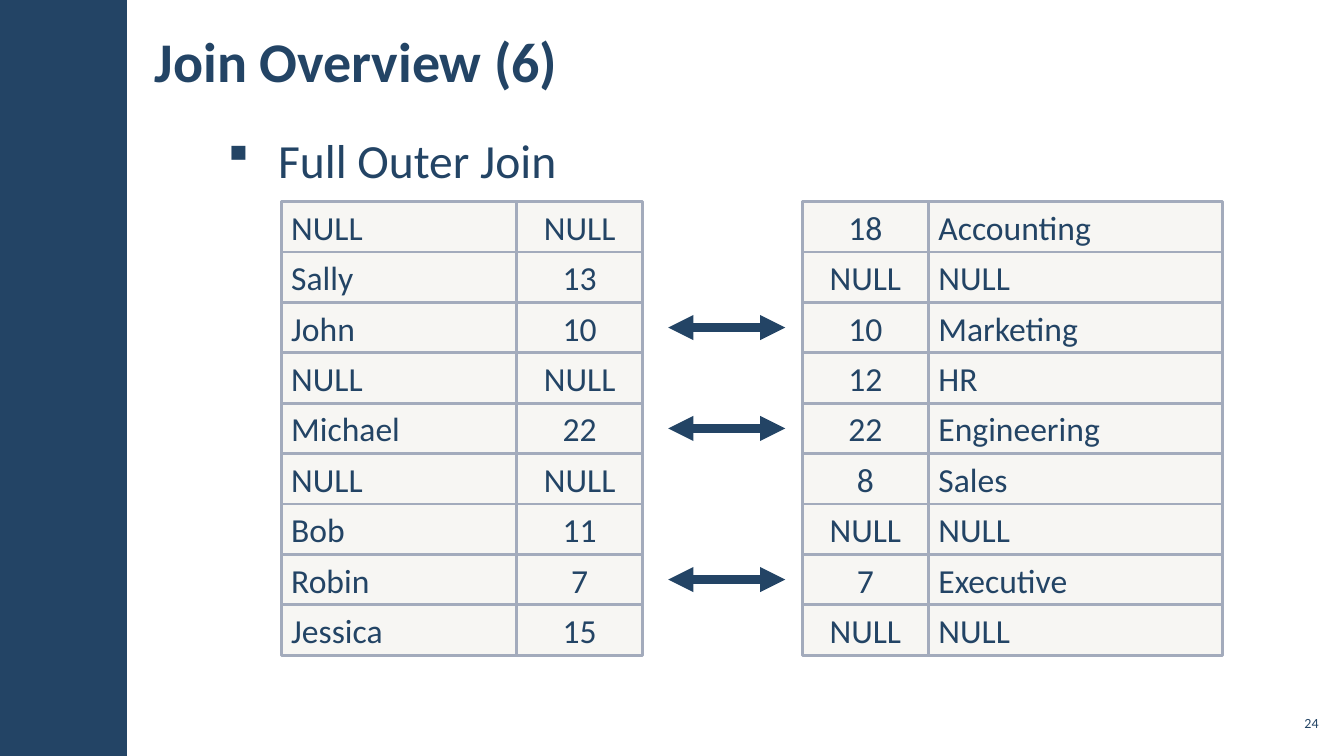
from lxml.etree import SubElement
from pptx import Presentation
from pptx.dml.color import RGBColor
from pptx.enum.shapes import MSO_CONNECTOR, MSO_SHAPE
from pptx.enum.text import MSO_ANCHOR as ANCHOR, PP_ALIGN as ALIGN
from pptx.oxml.ns import qn
from pptx.util import Cm, Pt

NAVY = RGBColor(0x23, 0x44, 0x65)
SAND = RGBColor(0xD9, 0xD5, 0xC7)
GREY = RGBColor(0xA3, 0xAB, 0xBC)
FONT = "Calibri"
ROW_H = 1.27

EMPLOYEES = [
    ("NULL", "NULL"), ("Sally", "13"), ("John", "10"),
    ("NULL", "NULL"), ("Michael", "22"), ("NULL", "NULL"),
    ("Bob", "11"), ("Robin", "7"), ("Jessica", "15"),
]
DEPARTMENTS = [
    ("18", "Accounting"), ("NULL", "NULL"), ("10", "Marketing"),
    ("12", "HR"), ("22", "Engineering"), ("8", "Sales"),
    ("NULL", "NULL"), ("7", "Executive"), ("NULL", "NULL"),
]


def add_run(p, text, size, bold=False):
    """Append a run in the slide's font and colour."""
    r = p.add_run()
    r.text = text
    r.font.name, r.font.size, r.font.bold = FONT, Pt(size), bold
    r.font.color.rgb = NAVY


def format_frame(tf, anchor, side, edge=0.1):
    """Set wrapping, anchor and insets of a text frame."""
    tf.word_wrap = True
    tf.vertical_anchor = anchor
    tf.margin_left = tf.margin_right = Cm(side)
    tf.margin_top = tf.margin_bottom = Cm(edge)


def add_rect(s, x, y, w, h, color):
    """Draw a filled rectangle without a shadow."""
    sp = s.shapes.add_shape(MSO_SHAPE.RECTANGLE, Cm(x), Cm(y), Cm(w), Cm(h))
    sp.shadow.inherit = False
    sp.fill.solid()
    sp.fill.fore_color.rgb = color
    return sp


def add_sidebar(s, x, y, w, h):
    """Draw the dark band at the slide's edge."""
    add_rect(s, x, y, w, h, NAVY).line.fill.background()


def add_title(s, x, y, w, h, text):
    """Place and format the title placeholder."""
    sp = s.shapes.title
    sp.left, sp.top, sp.width, sp.height = Cm(x), Cm(y), Cm(w), Cm(h)
    format_frame(sp.text_frame, ANCHOR.MIDDLE, 0.3)
    p = sp.text_frame.paragraphs[0]
    p.alignment = ALIGN.LEFT
    add_run(p, text, 40, True)


def add_bullet(s, x, y, w, h, text):
    """Write a square-bulleted line in the given box."""
    tf = s.shapes.add_textbox(Cm(x), Cm(y), Cm(w), Cm(h)).text_frame
    format_frame(tf, ANCHOR.TOP, 0.3)
    p = tf.paragraphs[0]
    p.line_spacing = 1.05
    p.space_before = p.space_after = Pt(6)
    add_run(p, text, 34)
    pPr = p._p.get_or_add_pPr()
    pPr.set("marL", str(Cm(1.27)))
    pPr.set("indent", str(Cm(-1.27)))
    SubElement(pPr, qn("a:buFont")).set("typeface", "Wingdings")
    SubElement(pPr, qn("a:buChar")).set("char", "§")


def add_page_number(s, x, y, w, h, text):
    """Write the page number, right-aligned."""
    tf = s.shapes.add_textbox(Cm(x), Cm(y), Cm(w), Cm(h)).text_frame
    format_frame(tf, ANCHOR.MIDDLE, 0.1)
    p = tf.paragraphs[0]
    p.alignment = ALIGN.RIGHT
    add_run(p, text, 10)


def add_cell(s, x, y, w, text, align):
    """Draw one translucent, bordered cell with its text."""
    sp = add_rect(s, x, y, w, ROW_H, SAND)
    color = sp._element.spPr.find(qn("a:solidFill")).find(qn("a:srgbClr"))
    SubElement(color, qn("a:alpha")).set("val", "20000")
    sp.line.color.rgb = GREY
    sp.line.width = Pt(2)
    format_frame(sp.text_frame, ANCHOR.MIDDLE, 0.25, 0.13)
    p = sp.text_frame.paragraphs[0]
    p.alignment = align
    add_run(p, text, 24)


def add_join_side(s, x, y, widths, aligns, rows):
    """Lay out one side of the join as a grid of cells."""
    for i, row in enumerate(rows):
        for j, text in enumerate(row):
            add_cell(s, x + sum(widths[:j]), y + i * ROW_H,
                     widths[j], text, aligns[j])


def add_match_arrows(s, x, y, w):
    """Join the rows whose keys agree with double arrows."""
    for i, (left, right) in enumerate(zip(EMPLOYEES, DEPARTMENTS)):
        if left[1] != right[0] or left[1] == "NULL":
            continue
        mid = Cm(y + (i + 0.5) * ROW_H)
        c = s.shapes.add_connector(
            MSO_CONNECTOR.STRAIGHT, Cm(x), mid, Cm(x + w), mid)
        c.line.color.rgb = NAVY
        c.line.width = Pt(6)
        ln = c.line._get_or_add_ln()
        for end in ("a:headEnd", "a:tailEnd"):
            SubElement(ln, qn(end)).set("type", "triangle")
        SubElement(c._element.spPr, qn("a:effectLst"))


def add_join(s, x, y):
    """Place both sides and the arrows between them."""
    add_join_side(s, x, y, (5.93, 3.18), (ALIGN.LEFT, ALIGN.CENTER), EMPLOYEES)
    add_match_arrows(s, x + 9.75, y, 2.95)
    add_join_side(s, x + 13.13, y, (3.18, 7.42),
                  (ALIGN.CENTER, ALIGN.LEFT), DEPARTMENTS)


def main():
    """Build and save the slide."""
    prs = Presentation()
    prs.slide_width, prs.slide_height = Cm(33.87), Cm(19.05)
    s = prs.slides.add_slide(prs.slide_layouts[5])
    add_sidebar(s, 0, 0, 3.2, 19.05)
    add_title(s, 3.6, 0.28, 23.34, 2.46, "Join Overview (6)")
    add_bullet(s, 5.44, 3.12, 27.89, 14.66, "Full Outer Join")
    add_join(s, 7.09, 5.08)
    add_page_number(s, 32.13, 17.78, 1.2, 0.86, "24")
    prs.save("out.pptx")


if __name__ == "__main__":
    main()
